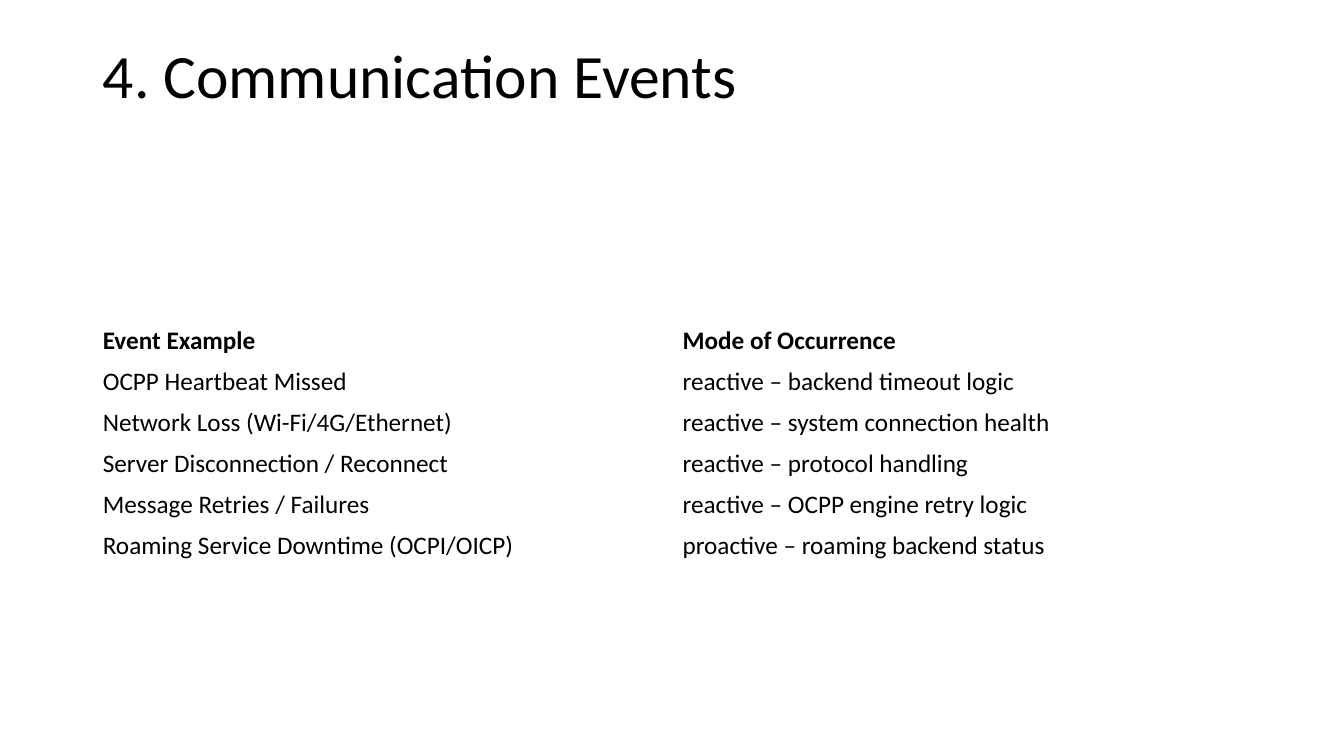
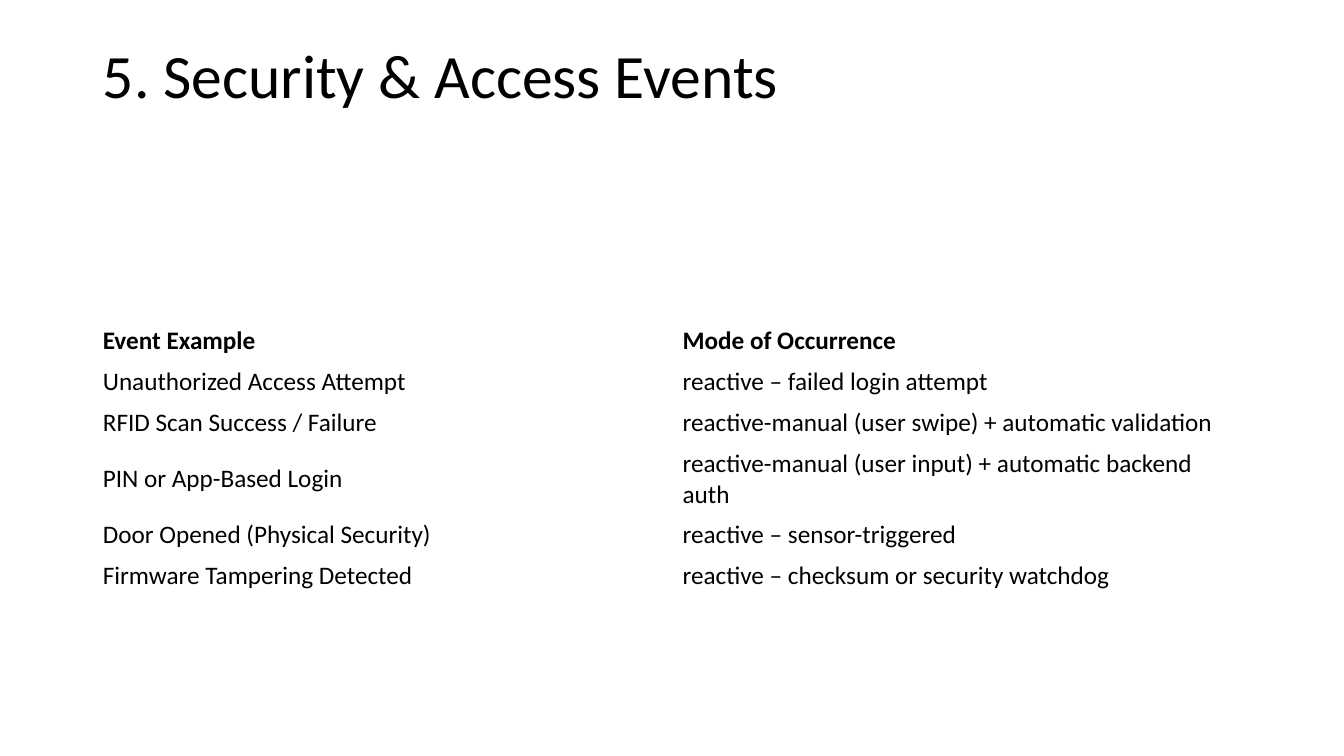
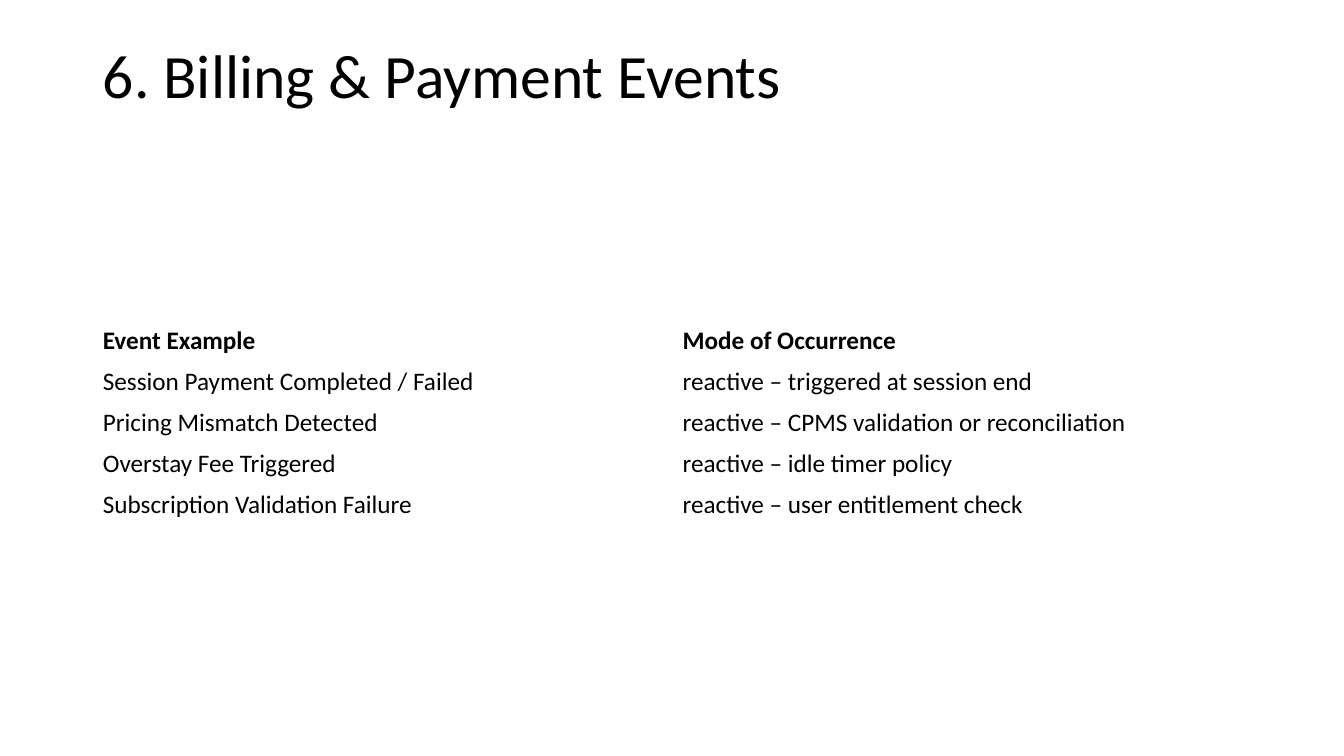
from dataclasses import dataclass

from pptx import Presentation
from pptx.dml.color import RGBColor
from pptx.enum.text import MSO_ANCHOR, MSO_AUTO_SIZE, PP_ALIGN
from pptx.util import Inches, Pt


@dataclass(frozen=True)
class Theme:
    font: str = "Calibri"
    text: RGBColor = RGBColor(0, 0, 0)
    background: RGBColor = RGBColor(255, 255, 255)
    title_size: int = 44
    table_size: int = 18
    left: float = 0.92
    width: float = 11.5
    title_top: float = 0.4
    title_height: float = 1.45
    table_top: float = 3.18
    row_height: float = 0.4


THEME = Theme()
TITLE_ONLY = 5
HEADER = ("Event Example", "Mode of Occurrence")

EVENT_SLIDES = [
    ("4. Communication Events", [
        ("OCPP Heartbeat Missed", "reactive – backend timeout logic"),
        ("Network Loss (Wi-Fi/4G/Ethernet)", "reactive – system connection health"),
        ("Server Disconnection / Reconnect", "reactive – protocol handling"),
        ("Message Retries / Failures", "reactive – OCPP engine retry logic"),
        ("Roaming Service Downtime (OCPI/OICP)", "proactive – roaming backend status"),
    ]),
    ("5. Security & Access Events", [
        ("Unauthorized Access Attempt", "reactive – failed login attempt"),
        ("RFID Scan Success / Failure", "reactive-manual (user swipe) + automatic validation"),
        ("PIN or App-Based Login", "reactive-manual (user input) + automatic backend auth"),
        ("Door Opened (Physical Security)", "reactive – sensor-triggered"),
        ("Firmware Tampering Detected", "reactive – checksum or security watchdog"),
    ]),
    ("6. Billing & Payment Events", [
        ("Session Payment Completed / Failed", "reactive – triggered at session end"),
        ("Pricing Mismatch Detected", "reactive – CPMS validation or reconciliation"),
        ("Overstay Fee Triggered", "reactive – idle timer policy"),
        ("Subscription Validation Failure", "reactive – user entitlement check"),
    ]),
]


def write_text(text_frame, text, *, size, bold=False, line_spacing=1.0):
    text_frame.word_wrap = True
    paragraph = text_frame.paragraphs[0]
    paragraph.alignment = PP_ALIGN.LEFT
    paragraph.line_spacing = line_spacing
    run = paragraph.add_run()
    run.text = text
    run.font.name = THEME.font
    run.font.size = Pt(size)
    run.font.bold = bold
    run.font.color.rgb = THEME.text


def set_title(slide, text):
    title = slide.shapes.title
    title.left, title.top = Inches(THEME.left), Inches(THEME.title_top)
    title.width, title.height = Inches(THEME.width), Inches(THEME.title_height)
    title.text_frame.auto_size = MSO_AUTO_SIZE.NONE
    title.text_frame.vertical_anchor = MSO_ANCHOR.TOP
    write_text(title.text_frame, text, size=THEME.title_size, line_spacing=0.9)


def add_event_table(slide, events):
    rows = [HEADER, *events]
    table = slide.shapes.add_table(
        len(rows), len(HEADER),
        Inches(THEME.left), Inches(THEME.table_top),
        Inches(THEME.width), Inches(THEME.row_height * len(rows)),
    ).table
    table.horz_banding = False
    for row_index, row in enumerate(rows):
        for column_index, text in enumerate(row):
            cell = table.cell(row_index, column_index)
            cell.fill.background()
            cell.vertical_anchor = MSO_ANCHOR.MIDDLE
            write_text(cell.text_frame, text, size=THEME.table_size, bold=row_index == 0)


def add_event_slide(presentation, title, events):
    slide = presentation.slides.add_slide(presentation.slide_layouts[TITLE_ONLY])
    set_title(slide, title)
    add_event_table(slide, events)


def main():
    presentation = Presentation()
    presentation.slide_width = Inches(13.33)
    presentation.slide_height = Inches(7.5)
    background = presentation.slide_master.background.fill
    background.solid()
    background.fore_color.rgb = THEME.background
    for title, events in EVENT_SLIDES:
        add_event_slide(presentation, title, events)
    presentation.save("out.pptx")


if __name__ == "__main__":
    main()
